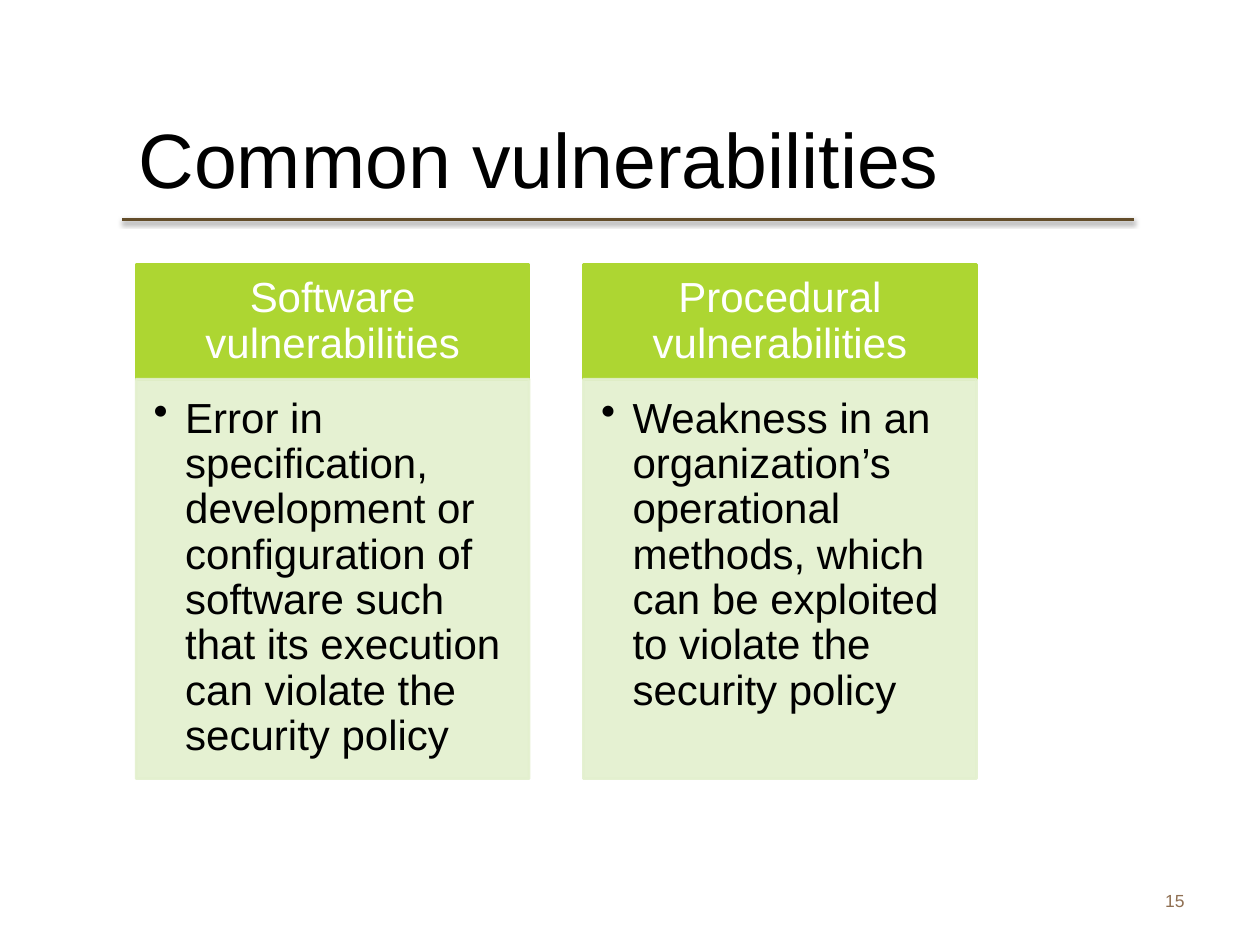
from dataclasses import dataclass

from lxml import etree
from pptx import Presentation
from pptx.dml.color import RGBColor
from pptx.enum.shapes import MSO_CONNECTOR, MSO_SHAPE
from pptx.enum.text import MSO_ANCHOR, PP_ALIGN
from pptx.oxml.ns import qn
from pptx.util import Inches, Pt

RECTANGLE = MSO_SHAPE.RECTANGLE
STRAIGHT = MSO_CONNECTOR.STRAIGHT
TOP, MIDDLE = MSO_ANCHOR.TOP, MSO_ANCHOR.MIDDLE
LEFT, CENTER, RIGHT = PP_ALIGN.LEFT, PP_ALIGN.CENTER, PP_ALIGN.RIGHT


@dataclass(frozen=True)
class Theme:
    font: str = "Arial"
    title_size: int = 44
    body_size: int = 24
    number_size: int = 10
    text: str = "000000"
    header_text: str = "FFFFFF"
    header_fill: str = "ADD632"
    body_fill: str = "E3F0CE"
    rule: str = "634D2A"
    number: str = "8F6F52"
    line_width: float = 1.5
    body_opacity: int = 90


THEME = Theme()

GRID_LEFT, GRID_TOP = 1.08, 2.1
COLUMN_WIDTH, COLUMN_STEP = 3.12, 3.55
HEADER_HEIGHT, BODY_HEIGHT = 0.91, 3.17
HEADER_INSETS = (0.19, 0.11, 0.19, 0.11)
BODY_INSETS = (0.14, 0.14, 0.19, 0.21)
BULLET_INDENT = 0.25

COLUMNS = [
    ("Software vulnerabilities",
     "Error in specification, development or configuration of software "
     "such that its execution can violate the security policy"),
    ("Procedural vulnerabilities",
     "Weakness in an organization’s operational methods, which can be "
     "exploited to violate the security policy"),
]


def inches(*values):
    return [Inches(value) for value in values]


def add_bullet(paragraph):
    paragraph.level = 1
    properties = paragraph._p.get_or_add_pPr()
    properties.set("marL", str(Inches(BULLET_INDENT)))
    properties.set("indent", str(-Inches(BULLET_INDENT)))
    etree.SubElement(properties, qn("a:buChar"), char="•")


def write_text(shape, text, size, color, alignment, anchor, bulleted=False):
    frame = shape.text_frame
    frame.word_wrap = True
    frame.vertical_anchor = anchor
    frame.text = text
    paragraph = frame.paragraphs[0]
    if bulleted:
        add_bullet(paragraph)
    paragraph.alignment = alignment
    paragraph.font.name = THEME.font
    paragraph.font.size = Pt(size)
    paragraph.font.color.rgb = RGBColor.from_string(color)
    return paragraph


def set_insets(frame, insets):
    (frame.margin_left, frame.margin_top,
     frame.margin_right, frame.margin_bottom) = inches(*insets)


def set_opacity(shape, percent):
    """Apply one opacity to both the fill and the outline."""
    for color in shape._element.spPr.iter(qn("a:srgbClr")):
        etree.SubElement(color, qn("a:alpha"), val=str(percent * 1000))


def add_panel(slide, position, fill, insets):
    panel = slide.shapes.add_shape(RECTANGLE, *inches(*position))
    panel.shadow.inherit = False
    panel.fill.solid()
    panel.fill.fore_color.rgb = RGBColor.from_string(fill)
    panel.line.color.rgb = RGBColor.from_string(fill)
    panel.line.width = Pt(THEME.line_width)
    set_insets(panel.text_frame, insets)
    return panel


def add_column(slide, index, heading, description):
    left = GRID_LEFT + index * COLUMN_STEP
    header = add_panel(slide, (left, GRID_TOP, COLUMN_WIDTH, HEADER_HEIGHT),
                       THEME.header_fill, HEADER_INSETS)
    paragraph = write_text(header, heading, THEME.body_size,
                           THEME.header_text, CENTER, MIDDLE)
    paragraph.line_spacing = 0.9

    body = add_panel(slide, (left, GRID_TOP + HEADER_HEIGHT, COLUMN_WIDTH, BODY_HEIGHT),
                     THEME.body_fill, BODY_INSETS)
    set_opacity(body, THEME.body_opacity)
    paragraph = write_text(body, description, THEME.body_size,
                           THEME.text, LEFT, TOP, bulleted=True)
    paragraph.line_spacing = 0.9


def add_title(slide, text):
    title = slide.shapes.title
    title.left, title.top, title.width, title.height = inches(1, 0.84, 8.08, 0.83)
    write_text(title, text, THEME.title_size, THEME.text, LEFT, MIDDLE)


def add_title_rule(slide):
    rule = slide.shapes.add_connector(STRAIGHT, *inches(0.97, 1.74, 9, 1.74))
    rule.line.color.rgb = RGBColor.from_string(THEME.rule)
    rule.line.width = Pt(THEME.line_width)
    effects = etree.SubElement(rule._element.spPr, qn("a:effectLst"))
    shadow = etree.SubElement(effects, qn("a:outerShdw"), blurRad=str(Pt(3.1)),
                              dist=str(Pt(1.6)), dir="5400000", rotWithShape="0")
    color = etree.SubElement(shadow, qn("a:srgbClr"), val="000000")
    etree.SubElement(color, qn("a:alpha"), val="38000")


def add_slide_number(slide, number):
    box = slide.shapes.add_textbox(*inches(7.17, 6.95, 2.33, 0.4))
    write_text(box, str(number), THEME.number_size, THEME.number, RIGHT, MIDDLE)


def main():
    presentation = Presentation()
    presentation.slide_width, presentation.slide_height = inches(10, 7.5)
    slide = presentation.slides.add_slide(presentation.slide_layouts[5])
    add_title_rule(slide)
    add_slide_number(slide, 15)
    add_title(slide, "Common vulnerabilities")
    for index, (heading, description) in enumerate(COLUMNS):
        add_column(slide, index, heading, description)
    presentation.save("out.pptx")


if __name__ == "__main__":
    main()
